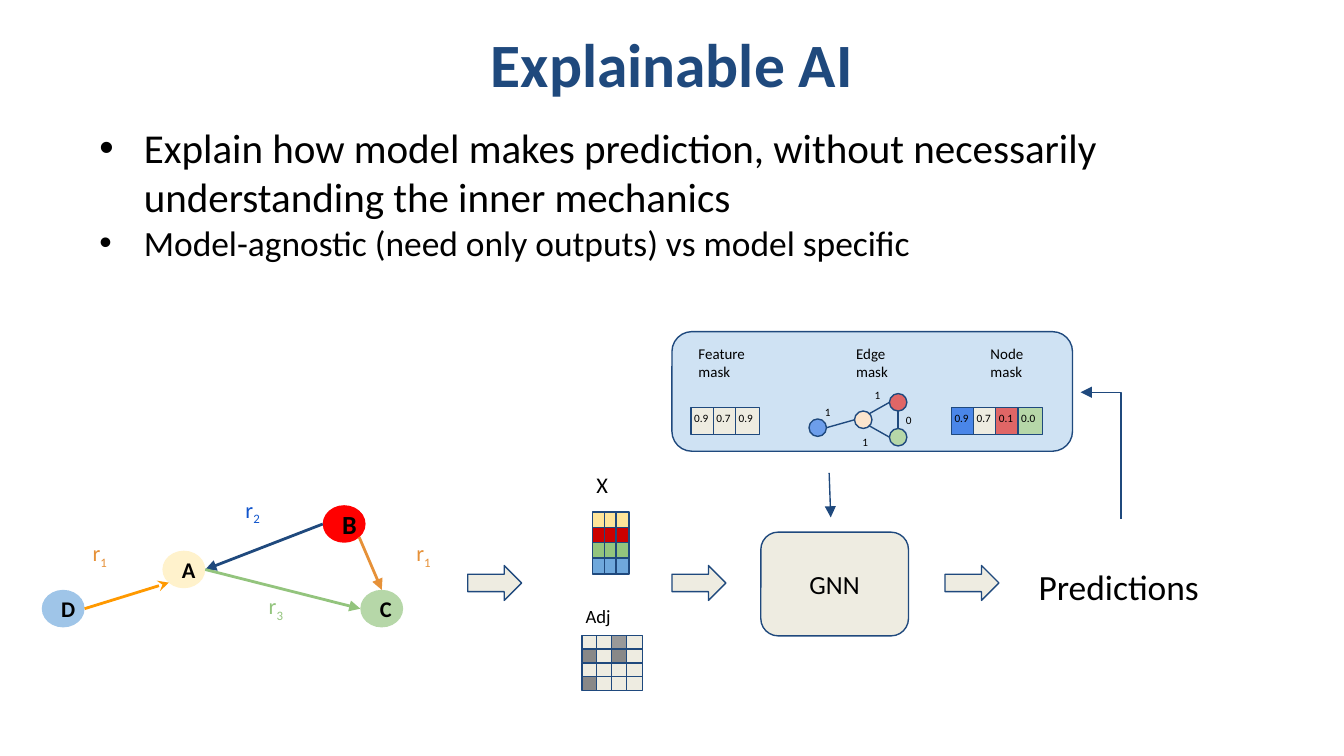
from dataclasses import dataclass

from pptx import Presentation
from pptx.dml.color import RGBColor
from pptx.enum.shapes import MSO_CONNECTOR, MSO_SHAPE
from pptx.enum.text import MSO_ANCHOR, MSO_AUTO_SIZE, PP_ALIGN
from pptx.oxml.ns import qn
from pptx.util import Cm, Pt
from lxml import etree

RECT, OVAL = MSO_SHAPE.RECTANGLE, MSO_SHAPE.OVAL
ROUND, ARROW = MSO_SHAPE.ROUNDED_RECTANGLE, MSO_SHAPE.RIGHT_ARROW
LINE, ELBOW = MSO_CONNECTOR.STRAIGHT, MSO_CONNECTOR.ELBOW
TOP, MIDDLE = MSO_ANCHOR.TOP, MSO_ANCHOR.MIDDLE
LEFT, CENTER = PP_ALIGN.LEFT, PP_ALIGN.CENTER
NO_FIT = MSO_AUTO_SIZE.NONE


@dataclass(frozen=True)
class Theme:
    font: str = "Calibri"
    ink: str = "000000"
    navy: str = "1F497D"
    sand: str = "EEECE1"
    panel: str = "CFE2F3"
    green: str = "93C47D"
    leaf: str = "B6D7A8"
    orange: str = "E69138"
    rose: str = "E06666"
    gray: str = "888888"
    title: int = 33
    lead: int = 22
    body: int = 19
    large: int = 14
    label: int = 12
    small: int = 10
    mask: int = 8
    tiny: int = 6
    thin: float = 0.75
    bold: float = 1.5


T = Theme()

# Content; places and sizes are in centimetres
TITLE = "Explainable AI"
POINTS = [
    ("Explain how model makes prediction, without necessarily "
     "understanding the inner mechanics", T.lead),
    ("Model-agnostic (need only outputs) vs model specific", T.body),
]
NODE = (0.81, 0.71)
NODES = {  # name: left, top, fill, text size
    "A": (3.07, 10.41, "FFF2CC", T.label),
    "C": (6.81, 11.15, T.leaf, T.label),
    "D": (0.79, 11.15, "9FC5E8", T.label),
    "B": (6.10, 9.55, "FF0000", T.large),
}
EDGES = [  # node and spot on it, at both ends
    ("B", "left", "A", "right", T.navy, "triangle"),
    ("B", "low right", "C", "top", T.orange, "triangle"),
    ("A", "right", "C", "left", T.green, "triangle"),
    ("D", "right", "A", "low left", "FF9900", "stealth"),
]
LINKS = [("1", 1.5, 9.96, T.orange), ("1", 7.62, 9.96, T.orange),
         ("3", 4.83, 10.97, T.green), ("2", 4.39, 9.14, "1155CC")]
FLOW = [8.84, 12.7, 17.86]
X_ROWS = [[c] * 3 for c in ("FFE599", "CC0000", T.green, "6FA8DC")]
ADJ_ROWS = [[{"#": T.gray, "+": "999999"}.get(c, T.sand) for c in row]
            for row in ("..+.", "#.#.", "....", "#...")]
HEADS = [("Feature mask", 12.95), ("Edge mask", 15.93), ("Node mask", 18.47)]
MASKS = [
    (13.06, [T.sand] * 3, ["0.9", "0.7", "0.9"]),
    (17.98, ["4A86E8", T.sand, T.rose, T.leaf], ["0.9", "0.7", "0.1", "0.0"]),
]
DOT = (0.33, 0.33)
DOTS = {
    "red": (16.81, 7.44, T.rose),
    "cream": (16.15, 7.77, "FCE5CD"),
    "green": (16.81, 8.10, T.leaf),
    "blue": (15.29, 7.92, "6D9EEB"),
}
TIES = [("cream", "high right", "red", "left"), ("red", "low", "green", "top"),
        ("cream", "low right", "green", "left"), ("blue", "right", "cream", "left")]
MARKS = [("1", 16.28, 7.09), ("0", 16.87, 7.57), ("1", 16.05, 7.98), ("1", 15.34, 7.42)]
SPOTS = {"left": (0, 0.5), "right": (1, 0.5), "top": (0.5, 0), "low": (0.5, 1),
         "low left": (0.15, 0.85), "low right": (0.85, 0.85), "high right": (0.85, 0.15)}

deck = Presentation()
deck.slide_width, deck.slide_height = Cm(25.4), Cm(14.29)
slide = deck.slides.add_slide(deck.slide_layouts[1])
shapes = slide.shapes


def rgb(color):
    return RGBColor.from_string(color)


def place(shape, *box):
    shape.left, shape.top, shape.width, shape.height = map(Cm, box)


def setup(frame, anchor=TOP, side=0.25, end=0.25):
    frame.word_wrap, frame.auto_size = True, NO_FIT
    frame.vertical_anchor = anchor
    frame.margin_left = frame.margin_right = Cm(side)
    frame.margin_top = frame.margin_bottom = Cm(end)


def write(para, text, size=T.label, color=T.ink, bold=False, align=LEFT, sub=""):
    """Fill a paragraph; sub is set as a subscript after the text."""
    para.alignment = align
    for part in filter(None, (text, sub)):
        run = para.add_run()
        run.text = part
        font = run.font
        font.name, font.size, font.bold = T.font, Pt(size), bold
        font.color.rgb = rgb(color)
    if sub:
        run.font._element.set("baseline", "-25000")


def label(text, *box, **style):
    frame = shapes.add_textbox(*map(Cm, box)).text_frame
    setup(frame)
    write(frame.paragraphs[0], text, **style)


def block(kind, box, fill, edge=T.navy, text="", **style):
    shape = shapes.add_shape(kind, *map(Cm, box))
    shape.shadow.inherit = False
    shape.fill.solid()
    shape.fill.fore_color.rgb = rgb(fill)
    if edge:
        shape.line.color.rgb, shape.line.width = rgb(edge), Pt(T.thin)
    else:
        shape.line.fill.background()
    if text:
        setup(shape.text_frame, MIDDLE)
        write(shape.text_frame.paragraphs[0], text, align=CENTER, **style)


def join(start, end, color=T.navy, width=T.thin, tip="", tag="a:tailEnd", kind=LINE):
    wire = shapes.add_connector(kind, *map(Cm, (*start, *end)))
    wire.line.color.rgb, wire.line.width = rgb(color), Pt(width)
    if tip:
        etree.SubElement(wire.line._get_or_add_ln(), qn(tag), type=tip)
    etree.SubElement(wire._element.spPr, qn("a:effectLst"))
    return wire


def spot(items, size, name, where):
    """Point on the rim of a node."""
    return [at + part * full for at, part, full in zip(items[name], SPOTS[where], size)]


def grid(left, top, step, size, rows):
    for r, row in enumerate(rows):
        for c, fill in enumerate(row):
            block(RECT, (left + c * step[0], top + r * step[1], *size), fill)


def bullet(para):
    props = para._p.get_or_add_pPr()
    props.set("marL", str(Cm(1.27)))
    props.set("indent", str(-Cm(0.84)))
    tint = etree.SubElement(props, qn("a:buClr"))
    etree.SubElement(tint, qn("a:srgbClr"), val=T.ink)
    etree.SubElement(props, qn("a:buFont"), typeface="Arial")
    etree.SubElement(props, qn("a:buChar"), char="•")
    para.space_before = Pt(0)


# Title and list
title, body = shapes.title, slide.placeholders[1]
place(title, 1.27, 0, 22.86, 2.39)
setup(title.text_frame, MIDDLE, 0.18, 0.1)
write(title.text_frame.paragraphs[0], TITLE, size=T.title, color=T.navy, bold=True, align=CENTER)
place(body, 1.27, 2.21, 21.59, 3.5)
setup(body.text_frame, TOP, 0.18, 0.1)
for i, (text, size) in enumerate(POINTS):
    para = body.text_frame.add_paragraph() if i else body.text_frame.paragraphs[0]
    bullet(para)
    write(para, text, size=size)

# Knowledge graph
for sub, left, top, color in LINKS:
    label("r", left, top, 0.81, 0.46, color=color, sub=sub)
for name, (left, top, fill, size) in NODES.items():
    block(OVAL, (left, top, *NODE), fill, edge="", text=name, size=size, bold=True)
for a, out, b, into, color, tip in EDGES:
    join(spot(NODES, NODE, a, out), spot(NODES, NODE, b, into), color, T.bold, tip)

# Model flow
for left in FLOW:
    block(ARROW, (left, 10.69, 1.02, 0.66), T.sand)
block(ROUND, (14.38, 10.06, 2.79, 1.96), T.sand, text="GNN", size=T.large)
grid(11.2, 9.68, (0.22, 0.29), (0.25, 0.3), X_ROWS)
label("X", 11.02, 8.66, 0.89, 0.89)
grid(11, 12.01, (0.28, 0.26), (0.3, 0.26), ADJ_ROWS)
label("Adj", 10.82, 11.18, 1.14, 0.89, size=T.small)
label("Predictions", 19.38, 10.44, 3.68, 1.17, size=T.body)

# Feedback arrow: an elbow turned to leave sideways
back = join((22, 8.23), (19.61, 8.99), tip="triangle", tag="a:headEnd", kind=ELBOW)
props = back._element.spPr
props.find(qn("a:xfrm")).set("rot", "16200000")
bends = props.find(qn("a:prstGeom")).find(qn("a:avLst"))
etree.SubElement(bends, qn("a:gd"), name="adj1", fmla="val 0")

# Mask panel
block(ROUND, (12.7, 6.27, 7.57, 2.26), T.panel)
join((15.67, 8.94), (15.7, 9.78), tip="triangle")
for text, left in HEADS:
    label(text, left, 6.27, 1.44, 0.86, size=T.mask)
for left, fills, values in MASKS:
    grid(left, 7.7, (0.42, 0), (0.46, 0.51), [fills])
    for i, value in enumerate(values):
        label(value, left - 0.19 + i * 0.42, 7.52, 0.89, 0.86, size=T.tiny)
for left, top, fill in DOTS.values():
    block(OVAL, (left, top, *DOT), fill)
for a, out, b, into in TIES:
    join(spot(DOTS, DOT, a, out), spot(DOTS, DOT, b, into))
for text, left, top in MARKS:
    label(text, left, top, 0.58, 0.52, size=T.tiny)

deck.save("out.pptx")
